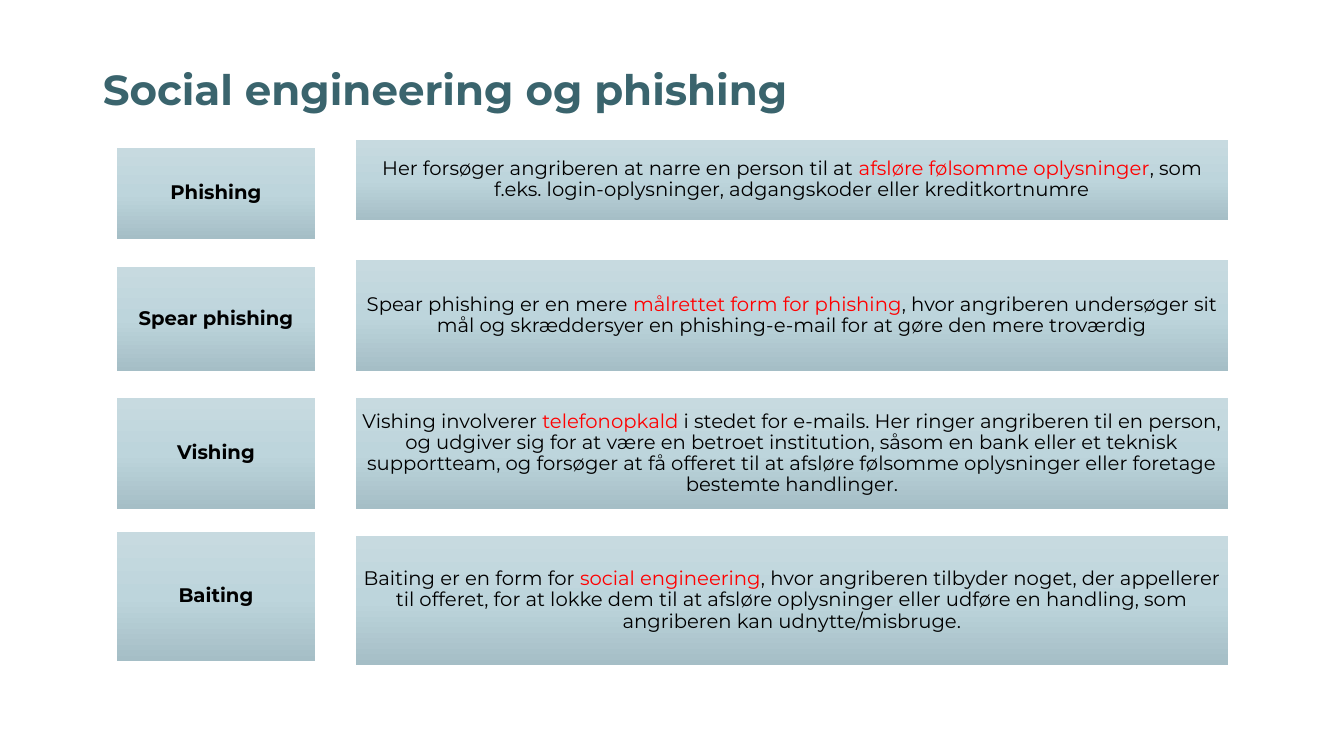
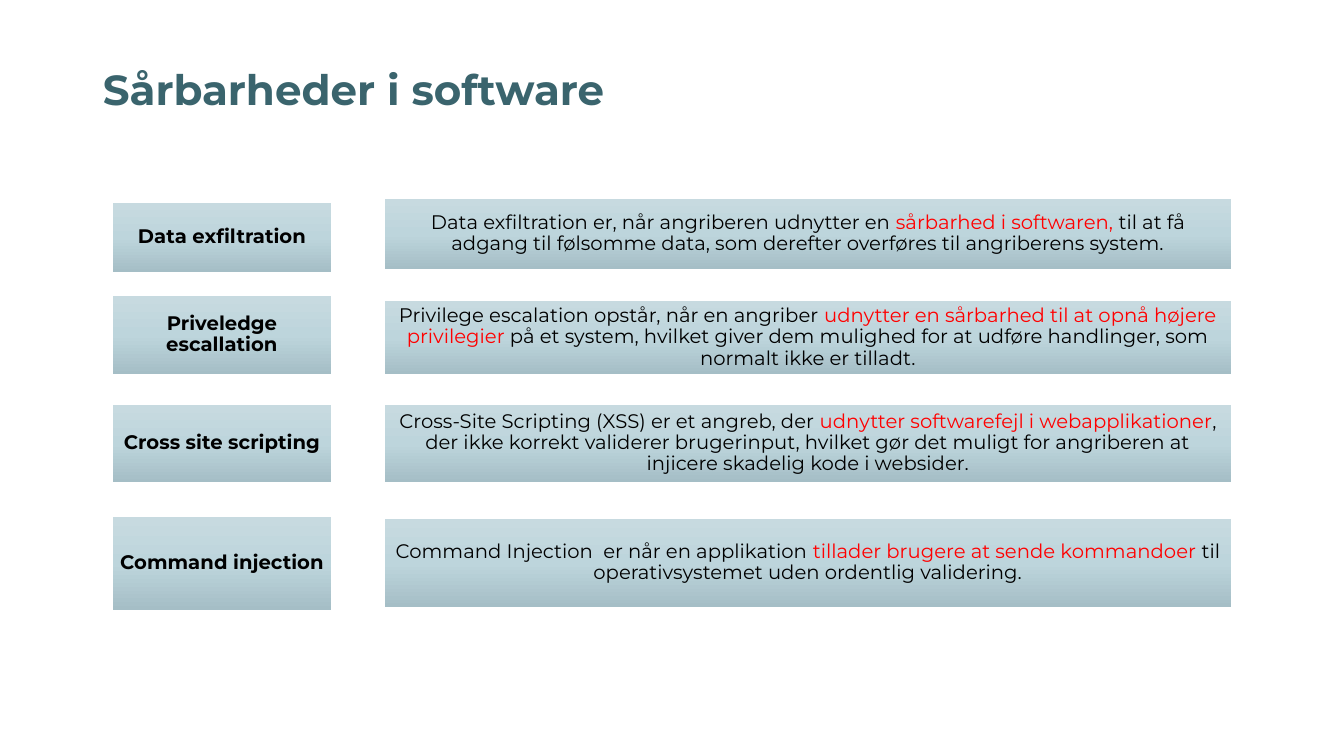
from copy import deepcopy
from dataclasses import dataclass

from pptx import Presentation
from pptx import util as u
from pptx.dml.color import RGBColor
from pptx.enum import shapes, text

# Row: label, (label top, height), (description top, height), (before, key phrase, after)
SLIDES = [
    dict(
        title="Social engineering og phishing",
        label_col=(117, 198),
        desc_col=(356, 872),
        rows=[
            ("Phishing", (148, 91), (140, 80),
             ("Her forsøger angriberen at narre en person til at ",
              "afsløre følsomme oplysninger",
              ", som f.eks. login-oplysninger, adgangskoder eller kreditkortnumre")),
            ("Spear phishing", (267, 104), (260, 111),
             ("Spear phishing er en mere ",
              "målrettet form for phishing",
              ", hvor angriberen undersøger sit mål og skræddersyer en "
              "phishing-e-mail for at gøre den mere troværdig")),
            ("Vishing", (398, 111), (398, 111),
             ("Vishing involverer ",
              "telefonopkald",
              " i stedet for e-mails. Her ringer angriberen til en person, og "
              "udgiver sig for at være en betroet institution, såsom en bank "
              "eller et teknisk supportteam, og forsøger at få offeret til at "
              "afsløre følsomme oplysninger eller foretage bestemte handlinger.")),
            ("Baiting", (532, 129), (536, 129),
             ("Baiting er en form for ",
              "social engineering",
              ", hvor angriberen tilbyder noget, der appellerer til offeret, for "
              "at lokke dem til at afsløre oplysninger eller udføre en handling, "
              "som angriberen kan udnytte/misbruge.")),
        ],
    ),
    dict(
        title="Sårbarheder i software",
        label_col=(113, 218),
        desc_col=(385, 846),
        rows=[
            ("Data exfiltration", (203, 69), (199, 70),
             ("Data exfiltration er, når angriberen udnytter en ",
              "sårbarhed i softwaren, ",
              "til at få adgang til følsomme data, som derefter overføres til "
              "angriberens system.")),
            ("Priveledge escallation", (296, 78), (301, 73),
             ("Privilege escalation opstår, når en angriber ",
              "udnytter en sårbarhed til at opnå højere privilegier",
              " på et system, hvilket giver dem mulighed for at udføre "
              "handlinger, som normalt ikke er tilladt.")),
            ("Cross site scripting", (405, 77), (405, 77),
             ("Cross-Site Scripting (XSS) er et angreb, der ",
              "udnytter softwarefejl i webapplikationer",
              ", der ikke korrekt validerer brugerinput, hvilket gør det muligt "
              "for angriberen at injicere skadelig kode i websider.")),
            ("Command injection", (517, 93), (519, 88),
             ("Command Injection  er når en applikation ",
              "tillader brugere at sende kommandoer ",
              "til operativsystemet uden ordentlig validering.")),
        ],
    ),
]


@dataclass(frozen=True)
class Theme:
    font: str = "Montserrat"
    title_size: int = 30
    body_size: int = 14
    line_spacing: float = 0.9
    title: str = "3A646D"
    body: str = "000000"
    key: str = "FF0000"
    gradient: tuple = ((0, "C7DAE0"), (0.5, "BDD5DC"), (1, "A5BEC6"))


THEME = Theme()
PX_PER_INCH = 100.8
SLIDE_SIZE = (1344, 756)
TITLE_BOX = (93, 62, 1159, 60)
BOX_INSET = 5


def px(n):
    return u.Inches(n / PX_PER_INCH)


def write(sp, runs, size, align, bold=False):
    """Fill a shape with one paragraph made of (text, colour) runs."""
    tf = sp.text_frame
    tf.word_wrap = True
    tf.vertical_anchor = text.MSO_ANCHOR.MIDDLE
    p = tf.paragraphs[0]
    p.alignment = align
    p.line_spacing = THEME.line_spacing
    for words, colour in runs:
        r = p.add_run()
        r.text = words
        r.font.name = THEME.font
        r.font.size = u.Pt(size)
        r.font.bold = bold
        r.font.color.rgb = RGBColor.from_string(colour)
    return tf


def shade(sp):
    """Apply the theme's gradient, running from top to bottom."""
    fill = sp.fill
    fill.gradient()
    fill.gradient_angle = 270
    first = fill.gradient_stops[0]._gs
    first.addnext(deepcopy(first))
    for stop, (position, colour) in zip(fill.gradient_stops, THEME.gradient):
        stop.position = position
        stop.color.rgb = RGBColor.from_string(colour)


def add_title(slide, title):
    sp = slide.shapes.add_textbox(*map(px, TITLE_BOX))
    write(sp, [(title, THEME.title)], THEME.title_size, text.PP_ALIGN.LEFT, bold=True)


def add_box(slide, column, band, runs, bold=False):
    (left, width), (top, height) = column, band
    sp = slide.shapes.add_shape(shapes.MSO_SHAPE.RECTANGLE,
                                *map(px, (left, top, width, height)))
    sp.shadow.inherit = False
    sp.line.fill.background()
    shade(sp)
    tf = write(sp, runs, THEME.body_size, text.PP_ALIGN.CENTER, bold)
    tf.margin_left = tf.margin_right = px(BOX_INSET)
    tf.margin_top = tf.margin_bottom = px(BOX_INSET)


def main():
    prs = Presentation()
    prs.slide_width, prs.slide_height = map(px, SLIDE_SIZE)
    for content in SLIDES:
        slide = prs.slides.add_slide(prs.slide_layouts[6])
        add_title(slide, content["title"])
        for label, label_band, desc_band, parts in content["rows"]:
            add_box(slide, content["label_col"], label_band,
                    [(label, THEME.body)], bold=True)
            add_box(slide, content["desc_col"], desc_band,
                    zip(parts, (THEME.body, THEME.key, THEME.body)))
    prs.save("out.pptx")


if __name__ == "__main__":
    main()
